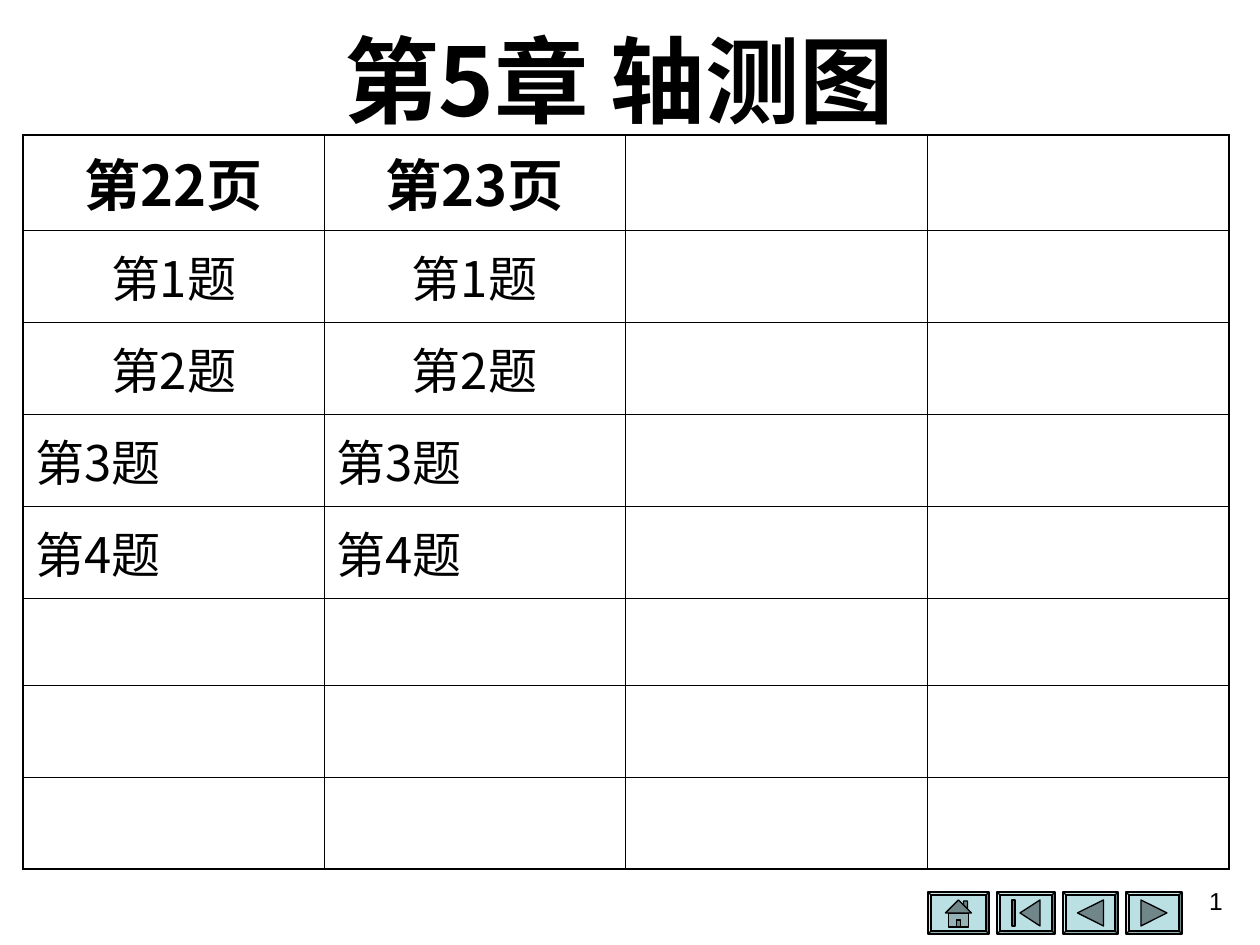
from lxml import etree
from pptx import Presentation
from pptx.dml.color import RGBColor
from pptx.enum.shapes import MSO_SHAPE
from pptx.enum.text import MSO_ANCHOR, PP_ALIGN
from pptx.oxml.ns import qn
from pptx.util import Pt

BEVEL = MSO_SHAPE.BEVEL
MIDDLE, TOP = MSO_ANCHOR.MIDDLE, MSO_ANCHOR.TOP
LEFT, CENTER, RIGHT = PP_ALIGN.LEFT, PP_ALIGN.CENTER, PP_ALIGN.RIGHT
PX = 914400 / 126
CJK, LATIN = "Noto Sans CJK SC", "Arial"
BLACK, BUTTON, ICON, WALL = "000000", "BBE0E3", "708688", "95B3B6"

# Content
TITLE = "第5章 轴测图 "
PAGE_NUMBER = "1"
EXERCISES = [
    ("第22页", "第23页"),
    ("第1题", "第1题"),
    ("第2题", "第2题"),
    ("第3题", "第3题"),
    ("第4题", "第4题"),
]
COLUMNS = [301, 301, 302, 302]
ROWS = [95, 92, 92, 92, 92, 88, 92, 91]
CENTERED_ROWS = 3
TABLE_LEFT, TABLE_TOP = 23, 135
OUTER, INNER = 1.08, 0.45

# Navigation buttons: left, width, icon parts as (colour, points from centre)
BUTTON_TOP, BUTTON_HEIGHT, BEVEL_DEPTH = 892, 42, 0.07
BUTTONS = [
    (928, 61, [
        (ICON, [(5, -12), (9, -12), (9, -4), (5, -8)]),
        (WALL, [(-10, 0), (10, 0), (10, 14), (-10, 14)]),
        (ICON, [(0, -13), (13, 0), (-13, 0)]),
        (ICON, [(-2, 7), (2, 7), (2, 14), (-2, 14)]),
    ]),
    (997, 58, [
        (ICON, [(-6, 0), (14, -13), (14, 13)]),
        (ICON, [(-14, -13), (-11, -13), (-11, 13), (-14, 13)]),
    ]),
    (1063, 55, [(ICON, [(-13, 0), (13, -13), (13, 13)])]),
    (1126, 56, [(ICON, [(-13, -13), (13, 0), (-13, 13)])]),
]


def px(value):
    return round(value * PX)


def color(value):
    return RGBColor.from_string(value)


def write(frame, text, align, font_name, **font_format):
    paragraph = frame.paragraphs[0]
    paragraph.alignment = align
    run = paragraph.add_run()
    run.text = text
    run.font.color.rgb = color(BLACK)
    for key, value in {"name": font_name, **font_format}.items():
        setattr(run.font, key, value)
    east_asian = etree.SubElement(run._r.get_or_add_rPr(), qn("a:ea"))
    east_asian.set("typeface", font_name)


def add_text(slide, box, text, align, anchor, font_name, **font_format):
    frame = slide.shapes.add_textbox(*map(px, box)).text_frame
    frame.word_wrap = True
    frame.vertical_anchor = anchor
    write(frame, text, align, font_name, **font_format)


def set_borders(cell, widths):
    properties = cell._tc.get_or_add_tcPr()
    for index, (side, width) in enumerate(widths.items()):
        line = etree.Element(qn(f"a:{side}"), w=str(Pt(width)))
        fill = etree.SubElement(line, qn("a:solidFill"))
        etree.SubElement(fill, qn("a:srgbClr"), val=BLACK)
        properties.insert(index, line)


def paint(shape, fill):
    shape.shadow.inherit = False
    shape.fill.solid()
    shape.fill.fore_color.rgb = color(fill)
    shape.line.color.rgb = color(BLACK)
    shape.line.width = Pt(0.75)


def add_exercise_table(slide):
    last_row, last_column = len(ROWS) - 1, len(COLUMNS) - 1
    table = slide.shapes.add_table(
        len(ROWS), len(COLUMNS), px(TABLE_LEFT), px(TABLE_TOP),
        px(sum(COLUMNS)), px(sum(ROWS))).table
    table.first_row = table.horz_banding = False
    for column, width in zip(table.columns, COLUMNS):
        column.width = px(width)
    for r, height in enumerate(ROWS):
        table.rows[r].height = px(height)
        for c in range(len(COLUMNS)):
            cell = table.cell(r, c)
            cell.vertical_anchor = MIDDLE
            cell.fill.background()
            set_borders(cell, {
                "lnL": INNER if c else OUTER,
                "lnR": OUTER if c == last_column else INNER,
                "lnT": INNER if r else OUTER,
                "lnB": OUTER if r == last_row else INNER,
            })
    for r, labels in enumerate(EXERCISES):
        align = CENTER if r < CENTERED_ROWS else LEFT
        size = Pt(28) if r else Pt(32)
        for c, label in enumerate(labels):
            write(table.cell(r, c).text_frame, label, align, CJK,
                  size=size, bold=r == 0)


def add_button(slide, left, width, icon_parts):
    button = slide.shapes.add_shape(
        BEVEL, px(left), px(BUTTON_TOP), px(width), px(BUTTON_HEIGHT))
    button.adjustments[0] = BEVEL_DEPTH
    paint(button, BUTTON)
    center_x, center_y = left + width / 2, BUTTON_TOP + BUTTON_HEIGHT / 2
    for fill, offsets in icon_parts:
        points = [(px(center_x + x), px(center_y + y)) for x, y in offsets]
        outline = slide.shapes.build_freeform(*points[0])
        outline.add_line_segments(points[1:], close=True)
        paint(outline.convert_to_shape(), fill)


def main():
    deck = Presentation()
    deck.slide_width, deck.slide_height = px(1260), px(945)
    slide = deck.slides.add_slide(deck.slide_layouts[6])
    add_text(slide, (63, 16, 1134, 126), TITLE, CENTER, MIDDLE, CJK,
             size=Pt(54), bold=True)
    add_exercise_table(slide)
    for button in BUTTONS:
        add_button(slide, *button)
    add_text(slide, (941, 880, 294, 65), PAGE_NUMBER, RIGHT, TOP, LATIN,
             size=Pt(14))
    deck.save("out.pptx")


if __name__ == "__main__":
    main()
